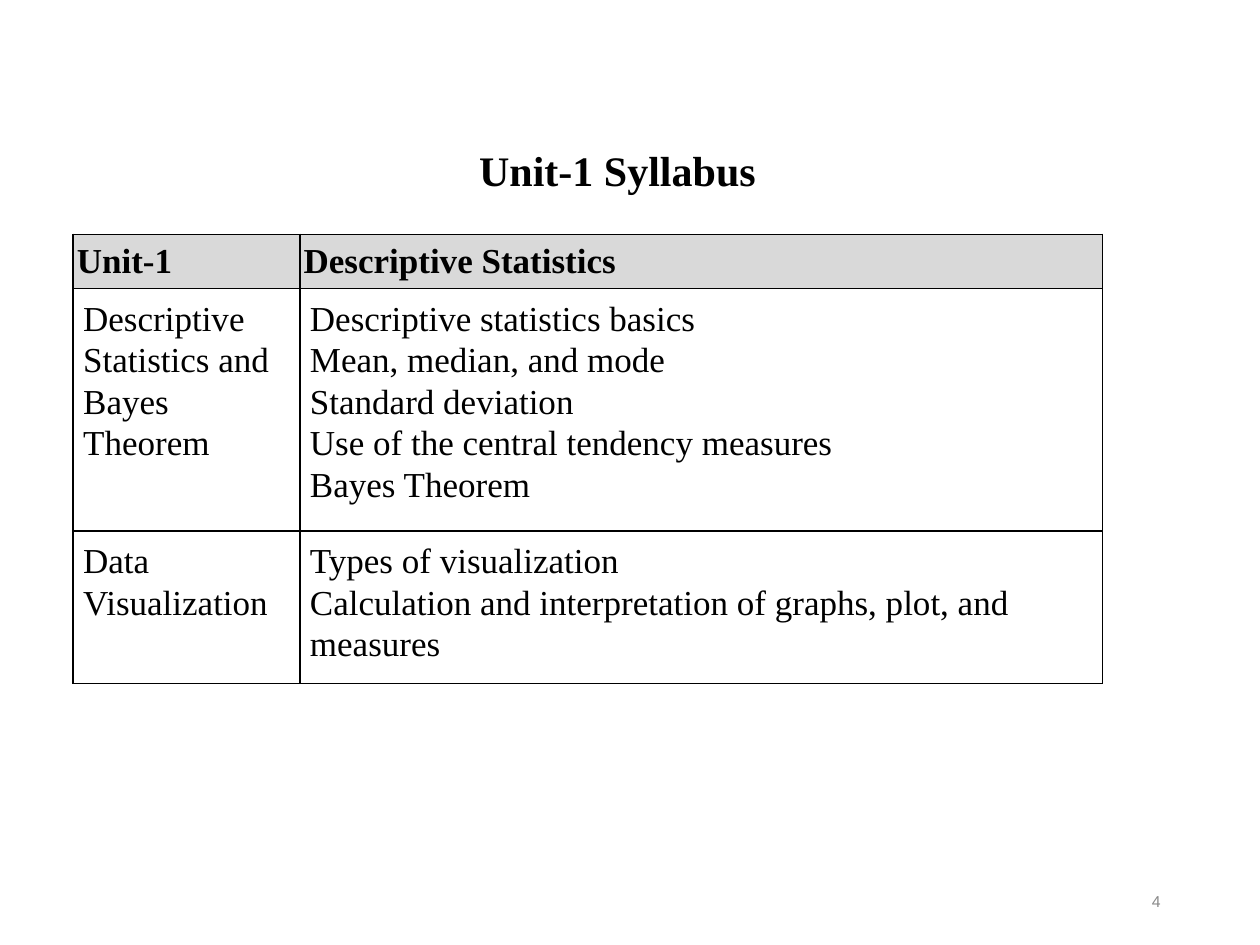
from lxml import etree
from pptx import Presentation, util as u
from pptx.dml.color import RGBColor
from pptx.enum import text
from pptx.oxml import ns

# Content: each cell is a list of paragraphs
TITLE = "Unit-1 Syllabus"
PAGE = "4"
ROWS = [
    (["Unit-1"], ["Descriptive Statistics"]),
    (["Descriptive Statistics and Bayes Theorem"],
     ["Descriptive statistics basics\nMean, median, and mode\nStandard deviation\n"
      "Use of the central tendency measures\nBayes Theorem"]),
    (["Data Visualization"],
     ["Types of visualization",
      "Calculation and interpretation of graphs, plot, and measures"]),
]
COL_WIDTHS = (1.8, 6.37)
ROW_HEIGHTS = (0.43, 1.79, 1.2)
LAST_SPACE = (0.8, 8)  # points after the last paragraph, per column

SERIF, SANS = "Times New Roman", "Arial"
THEME = {
    "title": dict(name=SERIF, size=24, bold=True, color="000000"),
    "head": dict(name=SERIF, size=20, bold=True, color="000000"),
    "body": dict(name=SERIF, size=20, bold=False, color="000000"),
    "page": dict(name=SANS, size=9, bold=False, color="898989"),
    "head_fill": "D9D9D9",
    "border": "000000",
}
ALIGN, ANCHOR = text.PP_ALIGN, text.MSO_ANCHOR


def set_attrs(obj, **values):
    for key, value in values.items():
        setattr(obj, key, value)


def write(p, content, style, **para):
    p.text = content
    set_attrs(p, **para)
    fmt = dict(THEME[style])
    color = RGBColor.from_string(fmt.pop("color"))
    fmt["size"] = u.Pt(fmt["size"])
    for r in p.runs:
        set_attrs(r.font, **fmt)
        r.font.color.rgb = color


def add_label(s, box, content, style, **para):
    sp = s.shapes.add_textbox(*map(u.Inches, box))
    tf = sp.text_frame
    set_attrs(tf, word_wrap=True, vertical_anchor=ANCHOR.MIDDLE)
    write(tf.paragraphs[0], content, style, **para)


def add_borders(cell):
    tc_pr = cell._tc.get_or_add_tcPr()
    for i, side in enumerate(("lnL", "lnR", "lnT", "lnB")):
        ln = etree.Element(ns.qn(f"a:{side}"), w=str(u.Pt(1)))
        fill = etree.SubElement(ln, ns.qn("a:solidFill"))
        etree.SubElement(fill, ns.qn("a:srgbClr"), val=THEME["border"])
        tc_pr.insert(i, ln)


def fill_cell(cell, paragraphs, is_head, last_space):
    x, y = (0.03, 0.03) if is_head else (0.08, 0.07)
    set_attrs(cell, margin_left=u.Inches(x), margin_right=u.Inches(x),
              margin_top=u.Inches(y), margin_bottom=u.Inches(y),
              vertical_anchor=ANCHOR.MIDDLE if is_head else ANCHOR.TOP)
    if is_head:
        cell.fill.solid()
        cell.fill.fore_color.rgb = RGBColor.from_string(THEME["head_fill"])
    else:
        cell.fill.background()
    add_borders(cell)

    tf = cell.text_frame
    for i, content in enumerate(paragraphs):
        p = tf.add_paragraph() if i else tf.paragraphs[0]
        if is_head:
            write(p, content, "head", alignment=ALIGN.JUSTIFY)
        else:
            is_last = i == len(paragraphs) - 1
            write(p, content, "body", line_spacing=1.07,
                  space_after=u.Pt(last_space if is_last else 0))


def main():
    prs = Presentation()
    set_attrs(prs, slide_width=u.Inches(10), slide_height=u.Inches(7.5))
    s = prs.slides.add_slide(prs.slide_layouts[6])

    # Title and page number
    add_label(s, (0.59, 1.02, 8.62, 0.7), TITLE, "title",
              alignment=ALIGN.CENTER, line_spacing=0.9)
    add_label(s, (7.06, 6.95, 2.25, 0.4), PAGE, "page", alignment=ALIGN.RIGHT)

    # Syllabus table
    box = (0.58, 1.86, sum(COL_WIDTHS), sum(ROW_HEIGHTS))
    table = s.shapes.add_table(len(ROWS), len(COL_WIDTHS),
                               *map(u.Inches, box)).table
    set_attrs(table, first_row=False, horz_banding=False)
    for col, width in zip(table.columns, COL_WIDTHS):
        col.width = u.Inches(width)
    for i, (row, height) in enumerate(zip(table.rows, ROW_HEIGHTS)):
        row.height = u.Inches(height)
        for cell, paragraphs, space in zip(row.cells, ROWS[i], LAST_SPACE):
            fill_cell(cell, paragraphs, i == 0, space)

    prs.save("out.pptx")


if __name__ == "__main__":
    main()
